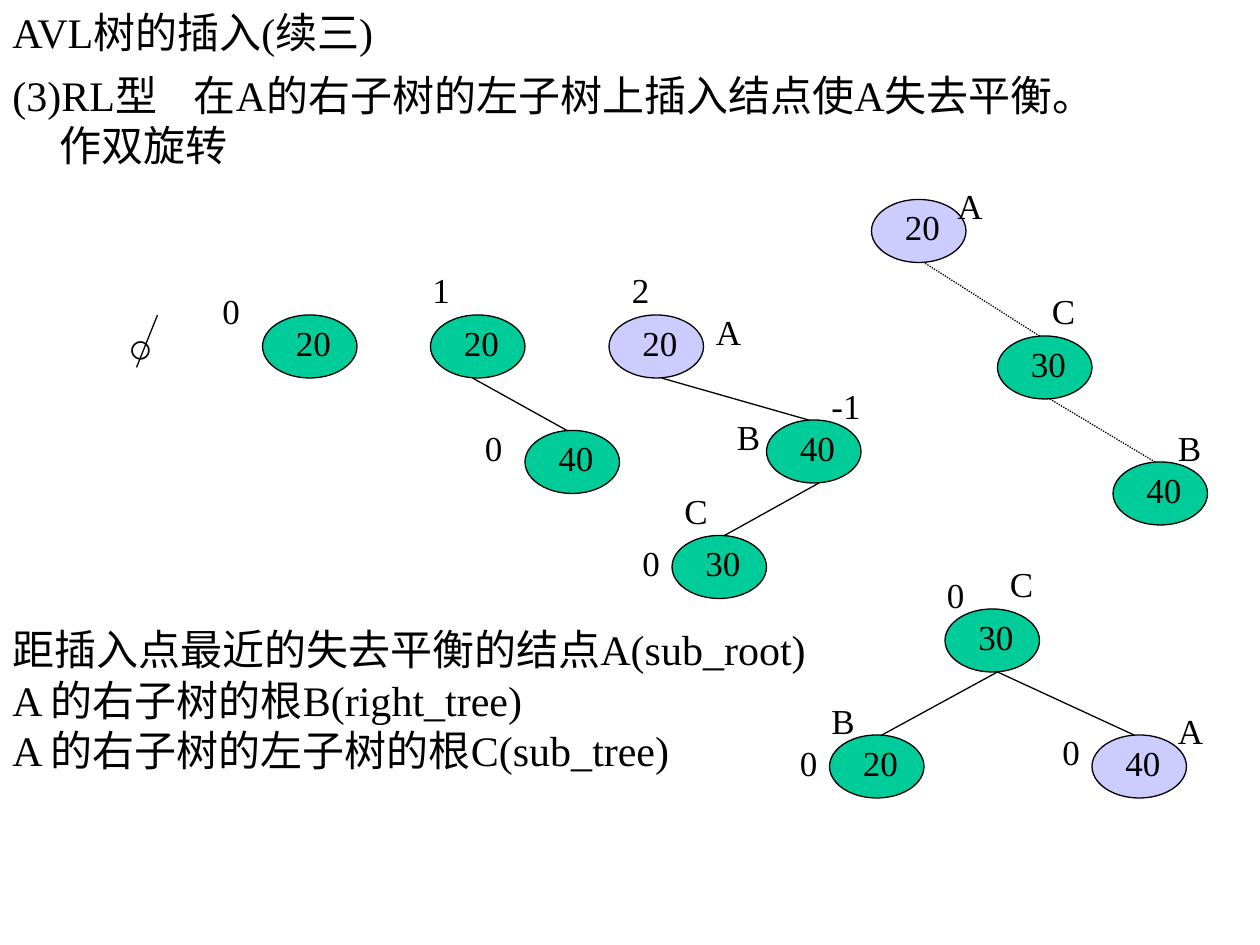
from dataclasses import dataclass

from lxml.etree import SubElement
from pptx import Presentation
from pptx.dml.color import RGBColor as Rgb
from pptx.enum.dml import MSO_LINE as Dash
from pptx.enum.shapes import MSO_CONNECTOR as Connector, MSO_SHAPE as Preset
from pptx.enum.text import MSO_ANCHOR as Anchor
from pptx.oxml.ns import qn
from pptx.util import Cm, Pt


@dataclass(frozen=True)
class Theme:
    font: str = "Times New Roman"
    ink: Rgb = Rgb(0x00, 0x00, 0x00)
    green: Rgb = Rgb(0x00, 0xCC, 0x99)
    lilac: Rgb = Rgb(0xCC, 0xCC, 0xFF)
    body_size: Pt = Pt(24)
    label_size: Pt = Pt(20)
    line_width: Pt = Pt(0.75)


def grid(steps):
    """The drawing sits on a grid of twelve steps to the inch."""
    return Cm(steps * 2.54 / 12)


class TreePage:
    NODE_WIDTH, NODE_HEIGHT = 9, 6

    def __init__(self, page, theme):
        self.page = page
        self.theme = theme

    def text(self, left, top, width, height, lines, size, anchor=Anchor.TOP):
        box = self.page.shapes.add_textbox(*map(grid, (left, top, width, height)))
        frame = box.text_frame
        frame.word_wrap = True
        frame.vertical_anchor = anchor
        for index, line in enumerate(lines):
            para = frame.paragraphs[0] if index == 0 else frame.add_paragraph()
            span = para.add_run()
            span.text = line
            span.font.name = self.theme.font
            span.font.size = size
            span.font.color.rgb = self.theme.ink
        return frame

    def label(self, left, top, words, width=5):
        self.text(left, top, width, 5.25, [words], self.theme.label_size)

    def node(self, left, top, value, fill):
        oval = self.page.shapes.add_shape(
            Preset.OVAL, grid(left), grid(top),
            grid(self.NODE_WIDTH), grid(self.NODE_HEIGHT))
        oval.shadow.inherit = False
        oval.fill.solid()
        oval.fill.fore_color.rgb = fill
        oval.line.color.rgb = self.theme.ink
        oval.line.width = self.theme.line_width
        self.label(left + 2, top, value, width=7)

    def edge(self, start_x, start_y, end_x, end_y, dash=None):
        line = self.page.shapes.add_connector(
            Connector.STRAIGHT, *map(grid, (start_x, start_y, end_x, end_y)))
        line.line.color.rgb = self.theme.ink
        line.line.width = self.theme.line_width
        if dash:
            line.line.dash_style = dash
        SubElement(line._element.spPr, qn("a:effectLst"))

    def indent(self, para, margin):
        para._p.get_or_add_pPr().set("marL", str(margin))

    def tab_stop(self, para, position):
        stops = SubElement(para._p.get_or_add_pPr(), qn("a:tabLst"))
        SubElement(stops, qn("a:tab"), pos=str(position), algn="l")


def main():
    theme = Theme()
    deck = Presentation()
    deck.slide_width, deck.slide_height = Cm(25.4), Cm(19.05)
    tree = TreePage(deck.slides.add_slide(deck.slide_layouts[6]), theme)
    green, lilac = theme.green, theme.lilac

    # Title and the case being explained
    tree.text(0, 0, 102, 6, ["AVL树的插入(续三)"], theme.body_size, Anchor.MIDDLE)
    case = tree.text(0, 6, 117, 11, [
        "(3)RL型\t在A的右子树的左子树上插入结点使A失去平衡。",
        "作双旋转"], theme.body_size)
    tree.tab_stop(case.paragraphs[0], Cm(3.66))
    tree.indent(case.paragraphs[1], Cm(0.95))

    # Empty tree: a circle struck through
    tree.text(11, 30, 5, 6, ["○"], theme.body_size)
    tree.edge(15, 30, 13, 35)

    # Names of the three nodes
    tree.text(0, 58.8, 117, 16, [
        "距插入点最近的失去平衡的结点A(sub_root)",
        "A 的右子树的根B(right_tree)",
        "A 的右子树的左子树的根C(sub_tree)"], theme.body_size)

    # Edges: insertions, first rotation (dotted), balanced result
    for ends in [(54, 41, 45, 36), (63, 36, 77, 40), (69, 51, 78, 46),
                 (95, 64, 84, 70), (95, 64, 108, 70)]:
        tree.edge(*ends)
    for ends in [(100, 38, 110, 44), (99, 32, 88, 25)]:
        tree.edge(*ends, dash=Dash.ROUND_DOT)

    # Nodes: left, top, value, fill
    for node in [
        (25, 30, "20", green),
        (41, 30, "20", green), (50, 41, "40", green),
        (58, 30, "20", lilac), (73, 40, "40", green), (64, 51, "30", green),
        (83, 19, "20", lilac), (95, 32, "30", green), (106, 44, "40", green),
        (90, 58, "30", green), (79, 70, "20", green), (104, 70, "40", lilac),
    ]:
        tree.node(*node)

    # Balance factors
    for left, top, factor in [
        (20, 27, "0"), (40, 25, "1"), (45, 40, "0"), (59, 25, "2"),
        (78, 36, "-1"), (60, 51, "0"),
        (89, 54, "0"), (75, 70, "0"), (100, 69, "0"),
    ]:
        tree.label(left, top, factor, width=6)

    # Node letters
    for left, top, letter in [
        (67, 29, "A"), (69, 39, "B"), (64, 46, "C"),
        (90, 17, "A"), (99, 27, "C"), (111, 40, "B"),
        (95, 53, "C"), (78, 66, "B"), (111, 67, "A"),
    ]:
        tree.label(left, top, letter)

    deck.save("out.pptx")


if __name__ == "__main__":
    main()
